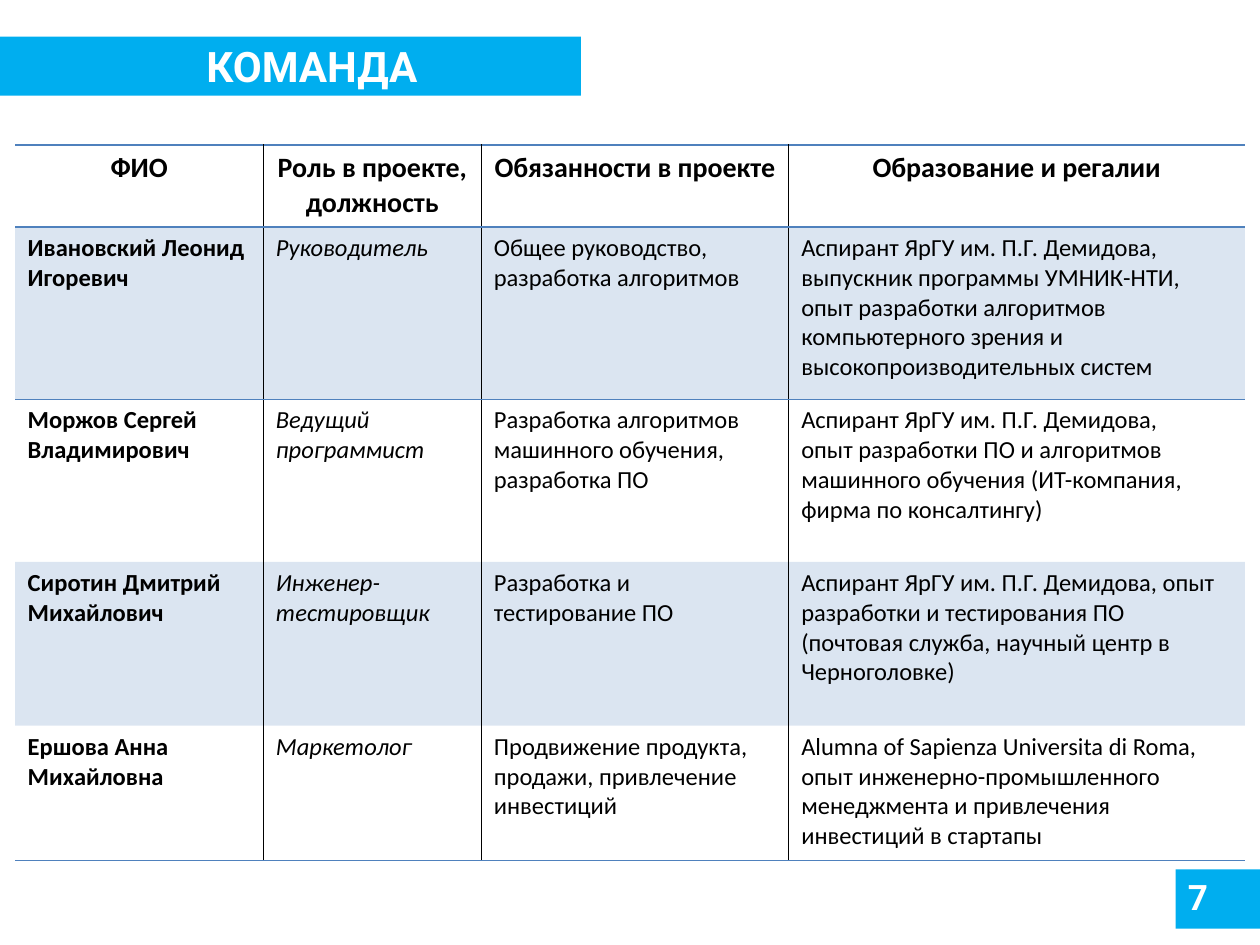
from dataclasses import dataclass

from lxml.etree import SubElement
from pptx import Presentation
from pptx.dml.color import RGBColor
from pptx.enum.shapes import MSO_SHAPE as Shape
from pptx.enum.text import MSO_ANCHOR as Anchor, PP_ALIGN as Align
from pptx.oxml.ns import qn
from pptx.util import Inches, Pt

CYAN = RGBColor(0x00, 0xAE, 0xEF)
BLUE = RGBColor(0x4F, 0x81, 0xBD)
BLACK = RGBColor(0, 0, 0)
WHITE = RGBColor(0xFF, 0xFF, 0xFF)
NO_GRID_STYLE = "{2D5ABB26-0587-4C30-8999-92F81FD0307C}"
BAND_OPACITY = "20000"

COLUMN_WIDTHS = (1.97, 1.73, 2.44, 3.62)
ROW_HEIGHTS = (0.65, 1.37, 1.29, 1.3, 1.07)
HEADINGS = ("ФИО", "Роль в проекте, должность",
            "Обязанности в проекте", "Образование и регалии")


@dataclass
class Member:
    name: str
    role: str
    duties: str
    background: str


TEAM = (
    Member("Ивановский Леонид Игоревич", "Руководитель",
           "Общее руководство, разработка алгоритмов",
           "Аспирант ЯрГУ им. П.Г. Демидова, выпускник программы УМНИК-НТИ,\n"
           "опыт разработки алгоритмов компьютерного зрения и "
           "высокопроизводительных систем"),
    Member("Моржов Сергей Владимирович", "Ведущий программист",
           "Разработка алгоритмов машинного обучения, разработка ПО",
           "Аспирант ЯрГУ им. П.Г. Демидова,\n"
           "опыт разработки ПО и алгоритмов машинного обучения "
           "(ИТ-компания, фирма по консалтингу)"),
    Member("Сиротин Дмитрий Михайлович", "Инженер-тестировщик",
           "Разработка и тестирование ПО",
           "Аспирант ЯрГУ им. П.Г. Демидова, опыт разработки и тестирования ПО "
           "(почтовая служба, научный центр в Черноголовке)"),
    Member("Ершова Анна Михайловна", "Маркетолог",
           "Продвижение продукта, продажи, привлечение инвестиций",
           "Alumna of Sapienza Universita di Roma,\n"
           "опыт инженерно-промышленного менеджмента и привлечения "
           "инвестиций в стартапы"),
)


def write(frame, text: str, *, size: float, font: str = "Calibri",
          color: RGBColor = BLACK, bold: bool = False, italic: bool = False,
          align: Align = Align.LEFT) -> None:
    """Fill a text frame, one paragraph per line of text."""
    frame.word_wrap = True
    frame.text = text
    for paragraph in frame.paragraphs:
        paragraph.alignment = align
        for run in paragraph.runs:
            run.font.size, run.font.name = Pt(size), font
            run.font.bold, run.font.italic = bold, italic
            run.font.color.rgb = color


def add_bar(slide, left: float, top: float, width: float, height: float) -> None:
    bar = slide.shapes.add_shape(Shape.RECTANGLE, Inches(left), Inches(top),
                                 Inches(width), Inches(height))
    bar.shadow.inherit = False
    bar.fill.solid()
    bar.fill.fore_color.rgb = CYAN
    bar.line.fill.background()


def add_border(cell, side: str, color: RGBColor) -> None:
    line = SubElement(cell._tc.get_or_add_tcPr(), qn(f"a:ln{side}"), w=str(Pt(1)))
    fill = SubElement(line, qn("a:solidFill"))
    SubElement(fill, qn("a:srgbClr"), val=str(color))


def shade(cell) -> None:
    cell.fill.solid()
    cell.fill.fore_color.rgb = BLUE
    tint = cell._tc.tcPr.find(qn("a:solidFill")).find(qn("a:srgbClr"))
    SubElement(tint, qn("a:alpha"), val=BAND_OPACITY)


def add_team_table(slide) -> None:
    rows = [HEADINGS] + [(m.name, m.role, m.duties, m.background) for m in TEAM]
    last_row, last_column = len(rows) - 1, len(HEADINGS) - 1
    team = slide.shapes.add_table(
        len(rows), len(HEADINGS), Inches(0.12), Inches(1.15),
        Inches(sum(COLUMN_WIDTHS)), Inches(sum(ROW_HEIGHTS))).table
    team._tbl.tblPr.find(qn("a:tableStyleId")).text = NO_GRID_STYLE
    for column, width in zip(team.columns, COLUMN_WIDTHS):
        column.width = Inches(width)
    for row, height in zip(team.rows, ROW_HEIGHTS):
        row.height = Inches(height)

    # Bold names, italic roles, plain duties and background
    column_formats = ({"bold": True}, {"italic": True, "align": Align.JUSTIFY}, {}, {})
    for r, texts in enumerate(rows):
        for c, text in enumerate(texts):
            cell = team.cell(r, c)
            if r == 0:
                write(cell.text_frame, text, size=16, bold=True, align=Align.CENTER)
            else:
                write(cell.text_frame, text, size=14, **column_formats[c])
            # Black rules between columns, blue rules around header and at the end
            borders = (("L", BLACK, c > 0), ("R", BLACK, c < last_column),
                       ("T", BLUE, r <= 1), ("B", BLUE, r in (0, last_row)))
            for side, color, visible in borders:
                if visible:
                    add_border(cell, side, color)
            if r % 2:
                shade(cell)


deck = Presentation()
deck.slide_width, deck.slide_height = Inches(10), Inches(7.5)
slide = deck.slides.add_slide(deck.slide_layouts[5])

# Title and page number bars
add_bar(slide, 0, 0.29, 4.61, 0.47)
add_bar(slide, 9.33, 6.9, 0.67, 0.47)

# Title, raised above its bar
title = slide.shapes.title
slide.shapes._spTree.append(title._element)
title.left, title.top = Inches(0.35), Inches(0.29)
title.width, title.height = Inches(4.25), Inches(0.47)
title.text_frame.vertical_anchor = Anchor.MIDDLE
write(title.text_frame, "КОМАНДА", size=24, font="Roboto", color=WHITE,
      bold=True, align=Align.CENTER)

# Page number
page_number = slide.shapes.add_textbox(Inches(9.33), Inches(6.9),
                                       Inches(0.63), Inches(0.47))
write(page_number.text_frame, "7", size=20, font="Roboto", color=WHITE, bold=True)

# Team table
add_team_table(slide)

deck.save("out.pptx")
